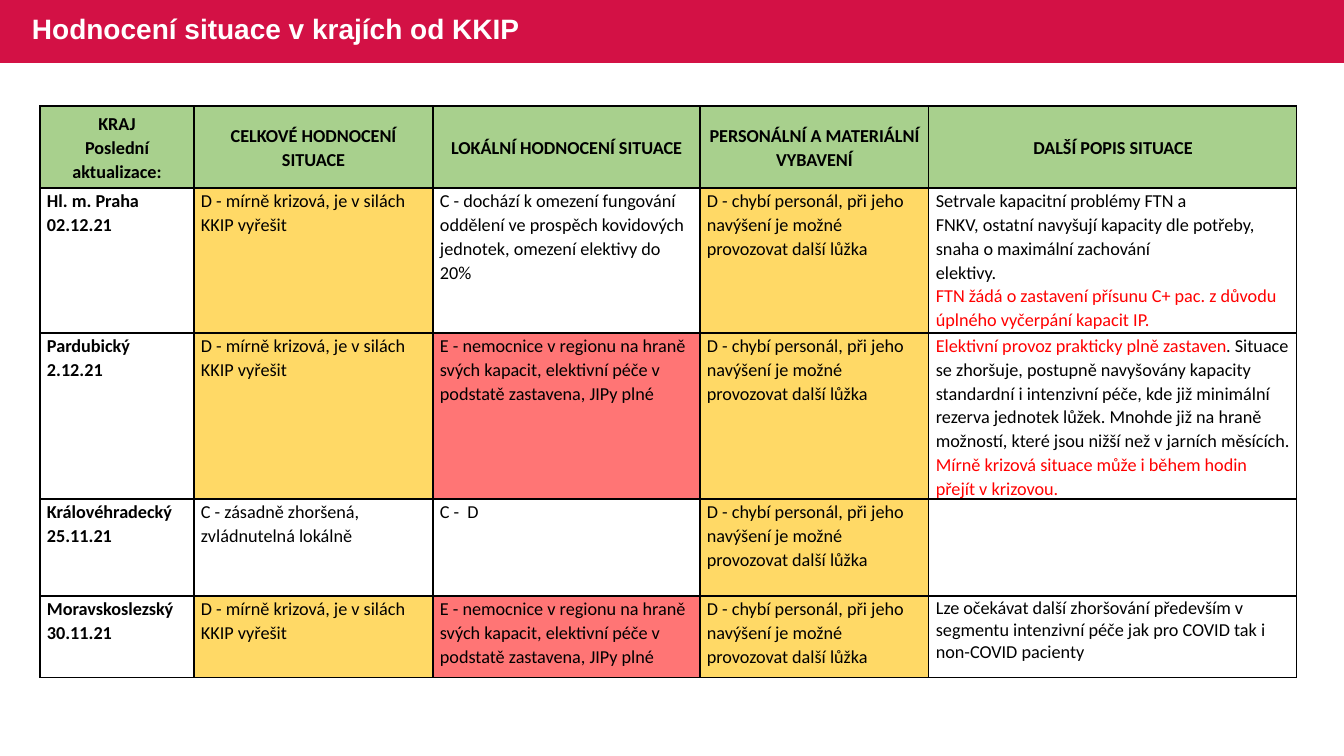
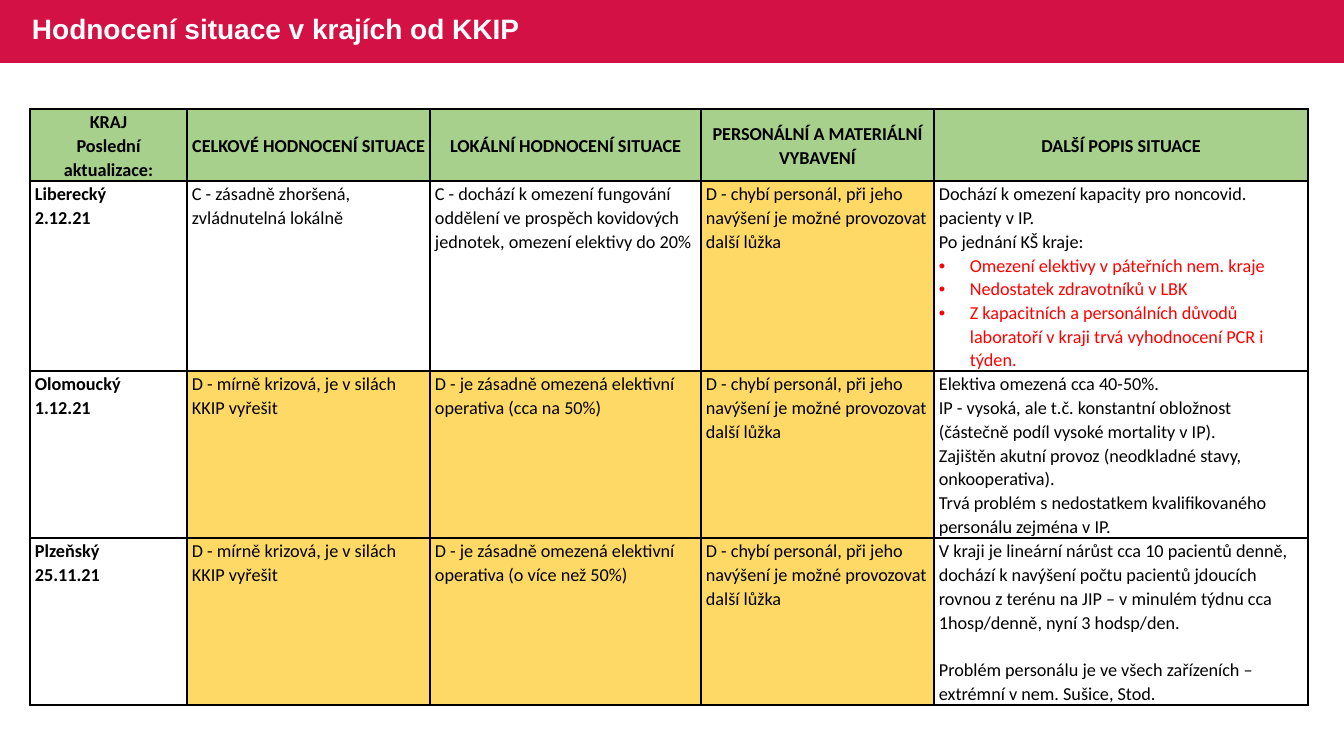
from dataclasses import dataclass

from lxml import etree
from pptx import Presentation
from pptx.dml.color import RGBColor
from pptx.enum.shapes import MSO_SHAPE
from pptx.enum.text import MSO_ANCHOR, PP_ALIGN
from pptx.oxml.ns import qn
from pptx.util import Emu, Pt

RECT = MSO_SHAPE.RECTANGLE
MIDDLE, TOP = MSO_ANCHOR.MIDDLE, MSO_ANCHOR.TOP
CENTER, LEFT = PP_ALIGN.CENTER, PP_ALIGN.LEFT
SIDES = ("a:lnL", "a:lnR", "a:lnT", "a:lnB")


# Colours and type sizes
@dataclass(frozen=True)
class Theme:
    band: str = "D31145"
    head: str = "A8D08D"
    amber: str = "FFD966"
    rose: str = "FF7575"
    ink: str = "000000"
    alert: str = "FF0000"
    white: str = "FFFFFF"
    title_font: str = "Arial"
    body_font: str = "Calibri"
    title_size: int = 20
    body_size: int = 13
    lead: float = 1.07
    rule: int = 1


# A paragraph; parts between asterisks are shown in the alert colour
@dataclass(frozen=True)
class Par:
    text: str
    bullet: bool = False
    after: int = 0
    lead: float = Theme.lead


THEME = Theme()
GRADES = {"D -": THEME.amber, "E -": THEME.rose}

# Wording that both slides use
TITLE = "Hodnocení situace v krajích od KKIP"
HEADS = (
    ("KRAJ", "Poslední aktualizace:"),
    ("CELKOVÉ HODNOCENÍ SITUACE",),
    ("LOKÁLNÍ HODNOCENÍ SITUACE",),
    ("PERSONÁLNÍ A MATERIÁLNÍ VYBAVENÍ",),
    ("DALŠÍ POPIS SITUACE",),
)
WORSE = "C - zásadně zhoršená, zvládnutelná lokálně"
CRISIS = "D - mírně krizová, je v silách KKIP vyřešit"
LIMITS = ("C - dochází k omezení fungování oddělení ve prospěch kovidových "
          "jednotek, omezení elektivy do 20%")
EDGE = ("E - nemocnice v regionu na hraně svých kapacit, elektivní péče "
        "v podstatě zastavena, JIPy plné")
STAFF = ("D - chybí personál, při jeho navýšení je možné provozovat "
         "další lůžka")

# Region, date, overall grade, local grade, further notes
EAST = (
    ("Hl. m. Praha", "02.12.21", CRISIS, LIMITS, (
        Par("Setrvale kapacitní problémy FTN a\nFNKV, ostatní navyšují "
            "kapacity dle potřeby, snaha o maximální zachování\nelektivy."),
        Par("*FTN žádá o zastavení přísunu C+ pac. z důvodu úplného "
            "vyčerpání kapacit IP.*"))),
    ("Pardubický", "2.12.21", CRISIS, EDGE, (
        Par("*Elektivní provoz prakticky plně zastaven*. Situace se "
            "zhoršuje, postupně navyšovány kapacity standardní i intenzivní "
            "péče, kde již minimální rezerva jednotek lůžek. Mnohde již na "
            "hraně možností, které jsou nižší než v jarních měsících. "
            "*Mírně krizová situace může i během hodin přejít "
            "v krizovou.*"),)),
    ("Královéhradecký", "25.11.21", WORSE, "C -  D", ()),
    ("Moravskoslezský", "30.11.21", CRISIS, EDGE, (
        Par("Lze očekávat další zhoršování především v segmentu intenzivní "
            "péče jak pro COVID tak i non-COVID pacienty", lead=1.0),)),
)
WEST = (
    ("Liberecký", "2.12.21", WORSE, LIMITS, (
        Par("Dochází k omezení kapacity pro noncovid. pacienty v IP."),
        Par("Po jednání KŠ kraje:"),
        Par("*Omezení elektivy v páteřních nem. kraje*", bullet=True),
        Par("*Nedostatek zdravotníků v LBK*", bullet=True),
        Par("*Z kapacitních a personálních důvodů laboratoří v kraji trvá "
            "vyhodnocení PCR i týden.*", bullet=True))),
    ("Olomoucký", "1.12.21", CRISIS,
     "D - je zásadně omezená elektivní operativa (cca na 50%)", (
         Par("Elektiva omezená cca 40-50%."),
         Par("IP - vysoká, ale t.č. konstantní obložnost (částečně podíl "
             "vysoké mortality v IP)."),
         Par("Zajištěn akutní provoz (neodkladné stavy, onkooperativa)."),
         Par("Trvá problém s nedostatkem kvalifikovaného personálu zejména "
             "v IP."))),
    ("Plzeňský", "25.11.21", CRISIS,
     "D - je zásadně omezená elektivní operativa (o více než 50%)", (
         Par("V kraji je lineární nárůst cca 10 pacientů denně, dochází "
             "k navýšení počtu pacientů jdoucích rovnou z terénu na JIP – "
             "v minulém týdnu cca 1hosp/denně, nyní 3 hodsp/den.", after=17),
         Par("Problém personálu je ve všech zařízeních – extrémní v nem. "
             "Sušice, Stod."))),
)


def px(n):
    return Emu(round(n * 914400 / 100.8))


def rgb(code):
    return RGBColor.from_string(code)


def style(font, name, size, color, bold):
    font.name, font.size, font.bold = name, Pt(size), bold
    font.color.rgb = rgb(color)


# Red band with the slide title
def add_title(slide, text):
    band = slide.shapes.add_shape(RECT, 0, 0, px(1344), px(63))
    band.shadow.inherit = False
    band.fill.solid()
    band.fill.fore_color.rgb = rgb(THEME.band)
    band.line.fill.background()
    frame = slide.shapes.add_textbox(px(22), px(-1), px(820),
                                     px(63)).text_frame
    frame.word_wrap = True
    frame.vertical_anchor = MIDDLE
    frame.text = text
    par = frame.paragraphs[0]
    par.line_spacing = 0.9
    style(par.runs[0].font, THEME.title_font, THEME.title_size,
          THEME.white, True)


def add_bullet(par):
    props = par._p.get_or_add_pPr()
    props.set("marL", str(px(31)))
    props.set("indent", str(px(-31)))
    etree.SubElement(props, qn("a:buFont"), typeface="Arial")
    etree.SubElement(props, qn("a:buChar"), char="•")


def write(par, item, bold, align):
    par.alignment = align
    par.line_spacing = item.lead
    par.space_after = Pt(item.after)
    if item.bullet:
        add_bullet(par)
    for i, part in enumerate(item.text.split("*")):
        color = THEME.alert if i % 2 else THEME.ink
        for j, line in enumerate(part.split("\n")):
            if j:
                par.add_line_break()
            if line:
                run = par.add_run()
                run.text = line
                style(run.font, THEME.body_font, THEME.body_size,
                      color, bold)
    # Line breaks keep the body size
    for mark in par._p.findall(qn("a:br")):
        etree.SubElement(mark, qn("a:rPr"), sz=str(THEME.body_size * 100))


def add_edges(cell):
    props = cell._tc.get_or_add_tcPr()
    for i, side in enumerate(SIDES):
        line = etree.Element(qn(side), w=str(Pt(THEME.rule)))
        fill = etree.SubElement(line, qn("a:solidFill"))
        etree.SubElement(fill, qn("a:srgbClr"), val=THEME.ink)
        props.insert(i, line)


def fill_cell(cell, items, fill, inset, bold, head):
    cell.margin_left = cell.margin_right = px(inset)
    cell.margin_top, cell.margin_bottom = px(1), 0
    cell.vertical_anchor = MIDDLE if head else TOP
    if fill:
        cell.fill.solid()
        cell.fill.fore_color.rgb = rgb(fill)
    else:
        cell.fill.background()
    add_edges(cell)
    frame = cell.text_frame
    for i, item in enumerate(items):
        par = frame.add_paragraph() if i else frame.paragraphs[0]
        write(par, item, bold, CENTER if head else LEFT)


# Table of regions: header row, then one row for each region
def add_grid(slide, left, top, cols, rows, inset, data):
    table = slide.shapes.add_table(len(rows), len(cols), px(left), px(top),
                                   px(sum(cols)), px(sum(rows))).table
    table.first_row = table.horz_banding = False
    for col, width in zip(table.columns, cols):
        col.width = px(width)
    for row, height in zip(table.rows, rows):
        row.height = px(height)
    for c, lines in enumerate(HEADS):
        items = [Par(line) for line in lines]
        fill_cell(table.cell(0, c), items, THEME.head, inset, True, True)
    for r, (name, date, total, local, notes) in enumerate(data, 1):
        cells = ((Par(name), Par(date)), (Par(total),), (Par(local),),
                 (Par(STAFF),), notes)
        for c, items in enumerate(cells):
            fill = GRADES.get(items[0].text[:3]) if items else None
            fill_cell(table.cell(r, c), items, fill, inset, c == 0, False)


def main():
    deck = Presentation()
    deck.slide_width, deck.slide_height = px(1344), px(756)
    grids = (
        (40, 106, (154, 239, 267, 229, 368), (82, 145, 166, 97, 82), 7, EAST),
        (30, 109, (157, 243, 271, 233, 374), (72, 190, 167, 167), 5, WEST),
    )
    for grid in grids:
        slide = deck.slides.add_slide(deck.slide_layouts[6])
        add_title(slide, TITLE)
        add_grid(slide, *grid)
    deck.save("out.pptx")


main()
